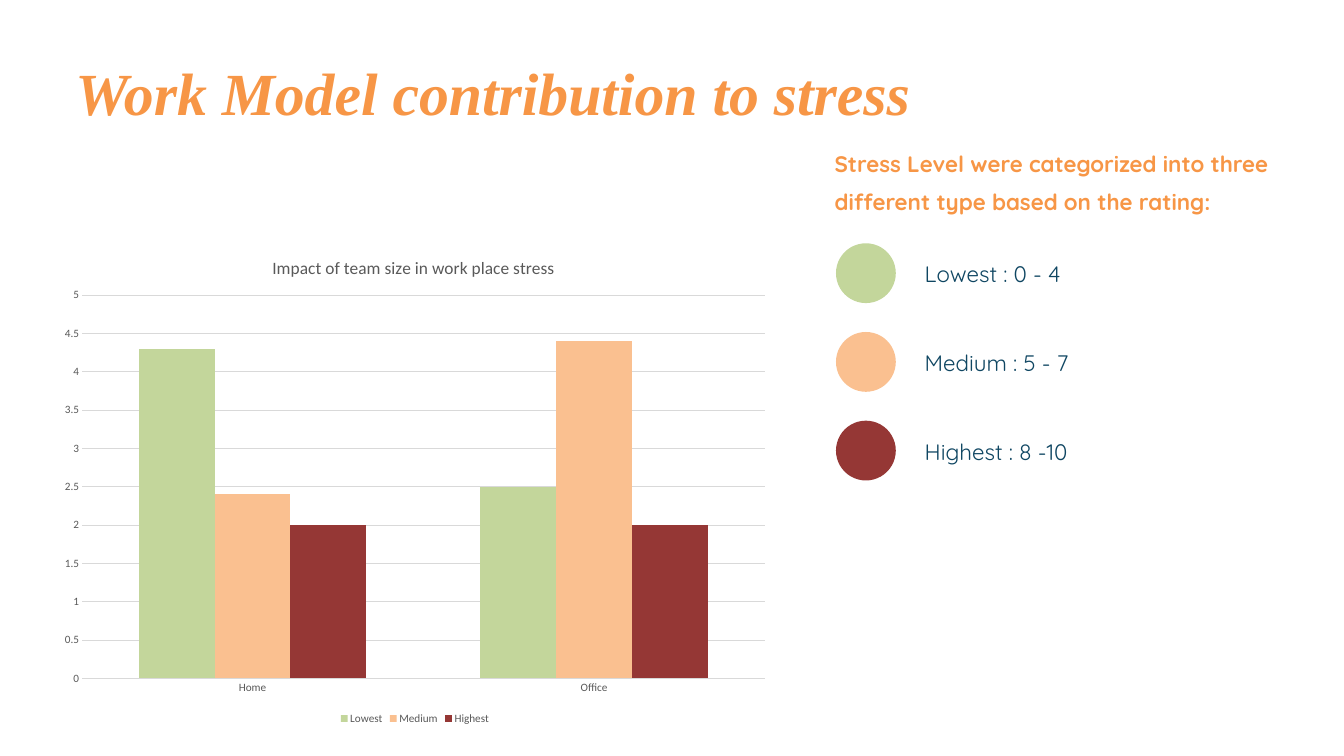
from dataclasses import dataclass

import pptx
import pptx.chart.data
import pptx.dml.color
import pptx.enum.chart
import pptx.enum.shapes
import pptx.oxml
import pptx.oxml.ns
import pptx.util
from pptx.util import Inches


@dataclass(frozen=True)
class Theme:
    accent: str = "F79646"
    ink: str = "0F4662"
    chart_ink: str = "595959"
    grid: str = "D9D9D9"
    heading_font: str = "Times New Roman"
    body_font: str = "Quicksand"
    chart_font: str = "Calibri"
    heading_size: float = 64
    body_size: float = 24
    chart_title_size: float = 18.6
    label_size: float = 12


THEME = Theme()
LEVELS = [
    ("Lowest", "Lowest : 0 - 4", "C3D69B", (4.3, 2.5)),
    ("Medium", "Medium : 5 - 7", "FAC090", (2.4, 4.4)),
    ("Highest", "Highest : 8 -10", "953735", (2, 2)),
]


def rgb(value):
    return pptx.dml.color.RGBColor.from_string(value)


def style_font(font, name, size, color, bold=False, italic=False):
    font.name = name
    font.size = pptx.util.Pt(size)
    font.color.rgb = rgb(color)
    font.bold = bold
    font.italic = italic


def add_text(slide, box, text, line_spacing, **style):
    tf = slide.shapes.add_textbox(*map(Inches, box)).text_frame
    tf.word_wrap = True
    tf.margin_left = tf.margin_right = tf.margin_top = tf.margin_bottom = 0
    p = tf.paragraphs[0]
    p.line_spacing = pptx.util.Pt(line_spacing)
    r = p.add_run()
    r.text = text
    style_font(r.font, **style)


def add_heading(slide, box):
    add_text(slide, box, "Work Model contribution to stress", 89.6,
             name=THEME.heading_font, size=THEME.heading_size,
             color=THEME.accent, bold=True, italic=True)


def add_rating_key(slide, box):
    left, top, width, height = box
    add_text(slide, (left, top, width, 1.09),
             "Stress Level were categorized into three different type based on the rating:",
             40.8, name=THEME.body_font, size=THEME.body_size,
             color=THEME.accent, bold=True)
    dot, indent, first = 0.89, 1.34, 1.55
    pitch = (height - first - dot) / (len(LEVELS) - 1)
    for i, (_, label, color, _) in enumerate(LEVELS):
        y = top + first + i * pitch
        sp = slide.shapes.add_shape(
            pptx.enum.shapes.MSO_SHAPE.OVAL,
            Inches(left + 0.02), Inches(y), Inches(dot), Inches(dot))
        sp.shadow.inherit = False
        sp.fill.solid()
        sp.fill.fore_color.rgb = rgb(color)
        sp.line.fill.background()
        add_text(slide, (left + indent, y + 0.19, width - indent, 0.45), label,
                 33.6, name=THEME.body_font, size=THEME.body_size, color=THEME.ink)


def set_layout(parent, successors, **values):
    for old in parent.findall(pptx.oxml.ns.qn("c:layout")):
        parent.remove(old)
    items = "".join(f'<c:{tag} val="{val}"/>' for tag, val in values.items())
    layout = pptx.oxml.parse_xml(
        f'<c:layout {pptx.oxml.ns.nsdecls("c")}>'
        f'<c:manualLayout>{items}</c:manualLayout></c:layout>')
    parent.insert_element_before(layout, *successors)


def add_stress_chart(slide, box):
    data = pptx.chart.data.CategoryChartData()
    data.categories = ["Home", "Office"]
    for name, _, _, values in LEVELS:
        data.add_series(name, values)
    chart = slide.shapes.add_chart(
        pptx.enum.chart.XL_CHART_TYPE.COLUMN_CLUSTERED,
        *map(Inches, box), data).chart
    labels = dict(name=THEME.chart_font, size=THEME.label_size, color=THEME.chart_ink)
    style_font(chart.font, **labels)

    chart.has_title = True
    tf = chart.chart_title.text_frame
    tf.text = "Impact of team size in work place stress"
    style_font(tf.paragraphs[0].runs[0].font, THEME.chart_font,
               THEME.chart_title_size, THEME.chart_ink)
    chart.chart_title.include_in_layout = False
    title = chart._chartSpace.chart.find(pptx.oxml.ns.qn("c:title"))
    set_layout(title, ("c:overlay",), xMode="edge", yMode="edge", x=0.3, y=0.04)
    set_layout(chart._chartSpace.chart.plotArea, ("c:barChart",),
               layoutTarget="inner", xMode="edge", yMode="edge",
               x=0.043, y=0.125, w=0.937, h=0.775)

    plot = chart.plots[0]
    plot.gap_width = 150
    plot.overlap = 0
    plot.vary_by_categories = False
    for series, (_, _, color, _) in zip(plot.series, LEVELS):
        series.format.fill.solid()
        series.format.fill.fore_color.rgb = rgb(color)

    for axis in (chart.category_axis, chart.value_axis):
        axis.major_tick_mark = pptx.enum.chart.XL_TICK_MARK.NONE
        axis.minor_tick_mark = pptx.enum.chart.XL_TICK_MARK.NONE
        axis.format.line.fill.background()
        style_font(axis.tick_labels.font, **labels)
    value_axis = chart.value_axis
    value_axis.minimum_scale, value_axis.maximum_scale = 0, 5
    value_axis.major_unit = 0.5
    value_axis.tick_labels.number_format = "General"
    value_axis.tick_labels.number_format_is_linked = False
    value_axis.has_major_gridlines = True
    line = value_axis.major_gridlines.format.line
    line.color.rgb = rgb(THEME.grid)
    line.width = pptx.util.Pt(0.75)

    chart.has_legend = True
    chart.legend.position = pptx.enum.chart.XL_LEGEND_POSITION.BOTTOM
    chart.legend.include_in_layout = False
    style_font(chart.legend.font, **labels)


def main():
    prs = pptx.Presentation()
    prs.slide_width, prs.slide_height = Inches(20), Inches(11.25)
    slide = prs.slides.add_slide(prs.slide_layouts[6])
    add_heading(slide, (1.12, 0.66, 12.62, 1.2))
    add_rating_key(slide, (12.42, 2.07, 6.46, 5.08))
    add_stress_chart(slide, (0.75, 3.47, 10.85, 7.36))
    prs.save("out.pptx")


if __name__ == "__main__":
    main()
